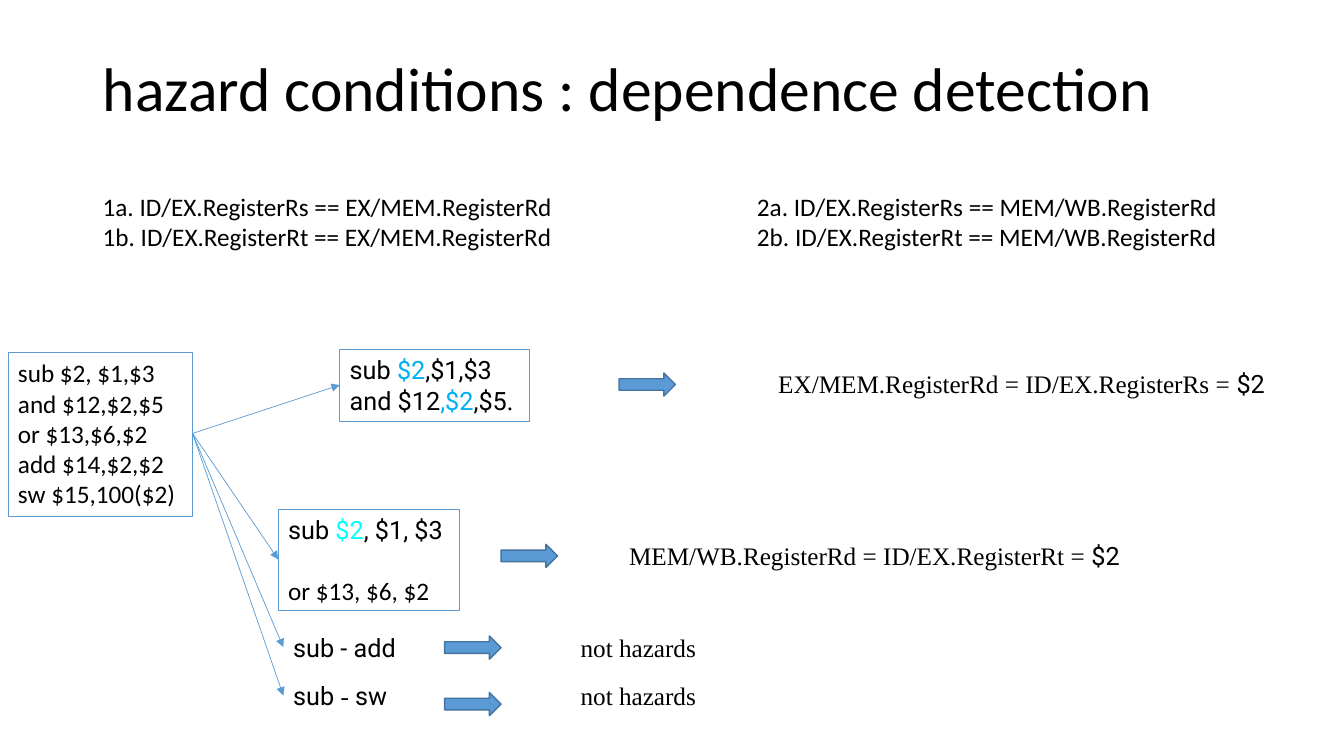
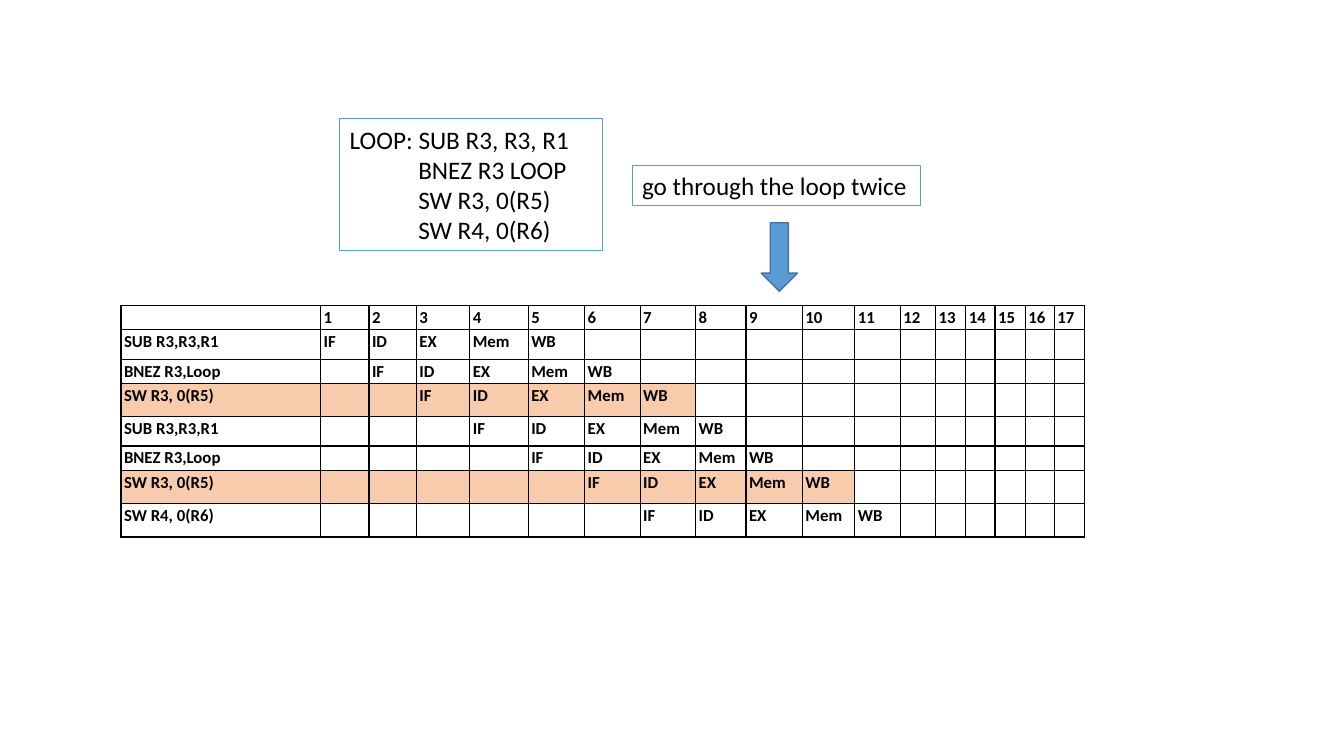
from lxml import etree
from pptx import Presentation
from pptx.dml.color import RGBColor
from pptx.enum.shapes import MSO_CONNECTOR, MSO_SHAPE
from pptx.enum.text import MSO_ANCHOR, PP_ALIGN
from pptx.oxml import parse_xml
from pptx.oxml.ns import nsdecls, qn
from pptx.util import Inches, Pt

BLACK = RGBColor(0x00, 0x00, 0x00)
BLUE = RGBColor(0x5B, 0x9B, 0xD5)
EDGE = RGBColor(0x43, 0x73, 0x9E)
SKY = RGBColor(0x00, 0xB0, 0xF0)
CYAN = RGBColor(0x00, 0xFF, 0xFF)
PEACH = RGBColor(0xF8, 0xCB, 0xAD)
SANS, CODE, SERIF = "Calibri", "Roboto", "Times New Roman"
RIGHT, DOWN = MSO_SHAPE.RIGHT_ARROW, MSO_SHAPE.DOWN_ARROW
LINE = MSO_CONNECTOR.STRAIGHT


def write(slide, x, y, w, h, lines, font=SANS, framed=False):
    """Add a text box; a line is a list of (text, font, colour), None meaning the default."""
    box = slide.shapes.add_textbox(Inches(x), Inches(y), Inches(w), Inches(h))
    if framed:
        box.line.color.rgb = BLUE
        box.line.width = Pt(0.75)
    frame = box.text_frame
    frame.word_wrap = True
    for i, line in enumerate(lines):
        para = frame.add_paragraph() if i else frame.paragraphs[0]
        para.font.name = font
        para.font.size = Pt(18)
        para.font.color.rgb = BLACK
        runs = [(line, None, None)] if isinstance(line, str) else line
        for text, face, tint in runs:
            run = para.add_run()
            run.text = text
            if face:
                run.font.name = face
            if tint:
                run.font.color.rgb = tint
    return frame.paragraphs


def arrow(slide, kind, x, y, w, h):
    shape = slide.shapes.add_shape(kind, Inches(x), Inches(y), Inches(w), Inches(h))
    shape.shadow.inherit = False
    shape.fill.solid()
    shape.fill.fore_color.rgb = BLUE
    shape.line.color.rgb = EDGE
    shape.line.width = Pt(1)


prs = Presentation()
prs.slide_width = Inches(13.33)
prs.slide_height = Inches(7.5)

# Slide 1: hazard conditions
slide = prs.slides.add_slide(prs.slide_layouts[5])
title = slide.shapes.title
title.left, title.top = Inches(0.92), Inches(0.4)
title.width, title.height = Inches(11.5), Inches(1.02)
title.text_frame.text = "hazard conditions : dependence detection"
title.text_frame.vertical_anchor = MSO_ANCHOR.MIDDLE
para = title.text_frame.paragraphs[0]
para.alignment = PP_ALIGN.LEFT
para.line_spacing = 0.9
para.font.name = SANS
para.font.size = Pt(44)
para.font.color.rgb = BLACK

for x, num, stage in [(0.92, 1, "EX/MEM"), (7.41, 2, "MEM/WB")]:
    write(slide, x, 1.85, 4.9, 0.71,
          [f"{num}{part}. ID/EX.Register{reg} == {stage}.RegisterRd"
           for part, reg in [("a", "Rs"), ("b", "Rt")]])

write(slide, 0.08, 3.5, 1.83, 1.62,
      ["sub $2, $1,$3", "and $12,$2,$5", "or $13,$6,$2", "add $14,$2,$2",
       "sw $15,100($2)"], framed=True)

write(slide, 3.37, 3.47, 1.88, 0.71, [
    [("sub ", None, None), ("$2", None, SKY), (",$1,$3", None, None)],
    [("and $12", None, None), (",$2", None, SKY), (",$5", None, None),
     (".", SERIF, None)],
], CODE, framed=True)

pair = write(slide, 2.76, 5.05, 1.8, 1.01, [
    [("sub ", None, None), ("$2", None, CYAN), (", $1, $3", None, None)],
    [("or $13, $6, $2", SANS, None)],
], CODE, framed=True)
pair[1].space_before = Pt(22)

write(slide, 2.81, 6.22, 1.25, 0.4, ["sub - add"], CODE)
write(slide, 2.81, 6.7, 1.14, 0.4,
      [[("sub ", None, None), ("- ", SERIF, None), ("sw", None, None)]], CODE)

for x, y, text in [(7.62, 3.61, "EX/MEM.RegisterRd = ID/EX.RegisterRs = "),
                   (6.14, 5.31, "MEM/WB.RegisterRd = ID/EX.RegisterRt = ")]:
    write(slide, x, y, 5.38, 0.4,
          [[(text, None, None), ("$2", CODE, None)]], SERIF)
for y in (6.22, 6.7):
    write(slide, 5.66, y, 1.52, 0.4, ["not hazards"], SERIF)

for x, y in [(6.14, 3.7), (4.97, 5.4), (4.41, 6.31), (4.41, 6.87)]:
    arrow(slide, RIGHT, x, y, 0.56, 0.23)

for x, y in [(2.76, 5.55), (3.37, 3.82), (2.81, 6.42), (2.81, 6.9)]:
    link = slide.shapes.add_connector(
        LINE, Inches(1.91), Inches(4.3), Inches(x), Inches(y))
    link.line.color.rgb = BLUE
    link.line.width = Pt(0.5)
    etree.SubElement(link.line._get_or_add_ln(), qn("a:tailEnd"), type="triangle")
    etree.SubElement(link._element.spPr, qn("a:effectLst"))

# Slide 2: pipeline table
slide = prs.slides.add_slide(prs.slide_layouts[6])
STAGES = ["IF", "ID", "EX", "Mem", "WB"]
CODES = ["SUB R3,R3,R1", "BNEZ R3,Loop", "SW R3, 0(R5)"] * 2 + ["SW R4, 0(R6)"]
WIDTHS = [1.98, 0.48, 0.47, 0.53, 0.58, 0.56, 0.55, 0.55, 0.5, 0.56, 0.52,
          0.45, 0.35, 0.3, 0.29, 0.3, 0.29, 0.3]
HEIGHTS = [0.19, 0.29, 0.24, 0.33, 0.29, 0.24, 0.33, 0.33]
cols = len(WIDTHS)

rows = [[""] + [str(n) for n in range(1, cols)]]
for start, code in enumerate(CODES):
    cells = [code] + [""] * start + STAGES
    rows.append(cells + [""] * (cols - len(cells)))

table = slide.shapes.add_table(len(rows), cols, Inches(1.2), Inches(3.03),
                               Inches(sum(WIDTHS)), Inches(sum(HEIGHTS))).table
table.first_row = False
table.horz_banding = False
for col, width in zip(table.columns, WIDTHS):
    col.width = Inches(width)
for row, height in zip(table.rows, HEIGHTS):
    row.height = Inches(height)

for r, texts in enumerate(rows):
    for c, text in enumerate(texts):
        cell = table.cell(r, c)
        cell.margin_left = cell.margin_right = Inches(0.03)
        cell.margin_top = cell.margin_bottom = Inches(0.02)
        for side in "LRTB":
            cell._tc.get_or_add_tcPr().append(parse_xml(
                f'<a:ln{side} {nsdecls("a")} w="{Pt(1)}"><a:solidFill>'
                f'<a:srgbClr val="{BLACK}"/></a:solidFill></a:ln{side}>'))
        if texts[0] == "SW R3, 0(R5)" and c < r + len(STAGES):
            cell.fill.solid()
            cell.fill.fore_color.rgb = PEACH
        else:
            cell.fill.background()
        para = cell.text_frame.paragraphs[0]
        para.font.name = SANS
        para.font.size = Pt(12)
        para.font.bold = True
        para.font.color.rgb = BLACK
        if text:
            para.add_run().text = text
        else:
            etree.SubElement(para._p, qn("a:endParaRPr"), sz="1200")

loop = write(slide, 3.37, 1.18, 2.61, 1.31,
             ["LOOP: SUB R3, R3, R1", "BNEZ R3 LOOP", "SW R3, 0(R5)",
              "SW R4, 0(R6)"], framed=True)
for para in loop[1:]:
    para._p.get_or_add_pPr().set("marL", str(Inches(0.68)))
write(slide, 6.27, 1.64, 2.86, 0.4, ["go through the loop twice"], framed=True)
arrow(slide, DOWN, 7.55, 2.21, 0.36, 0.68)

prs.save("out.pptx")
